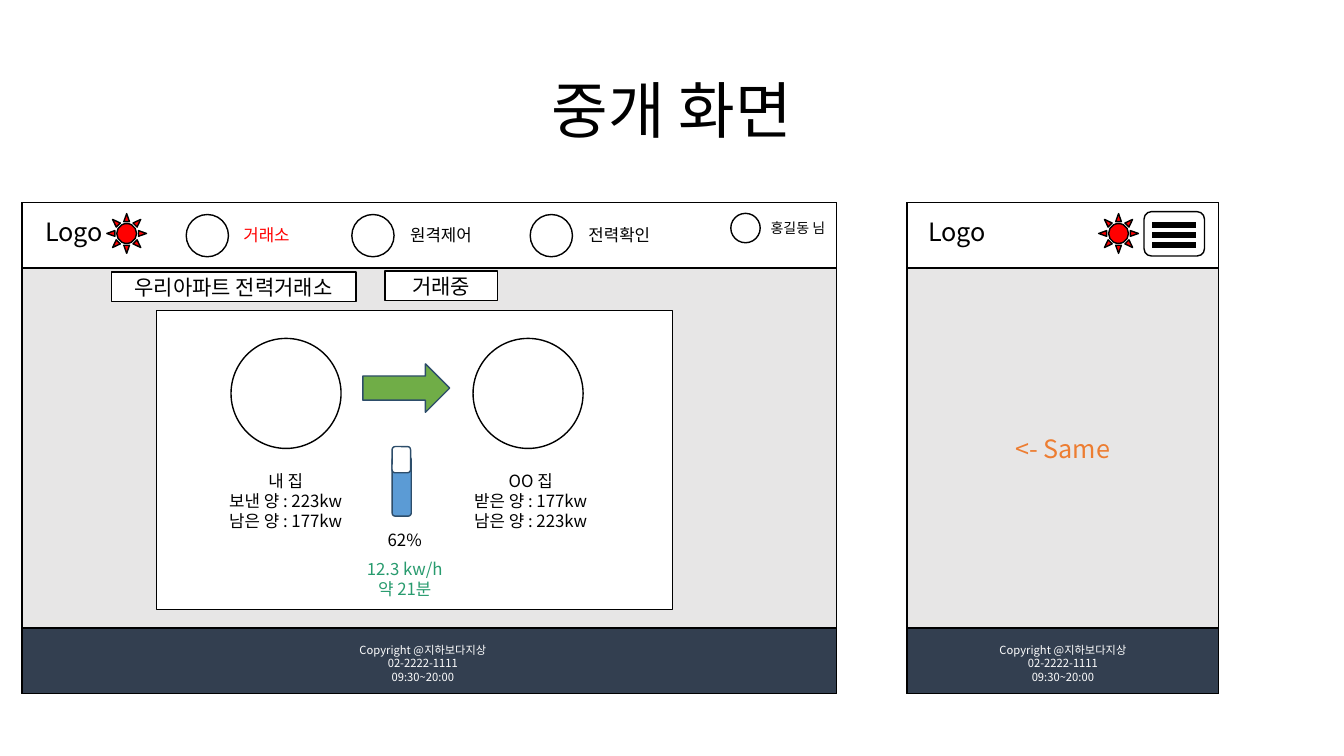
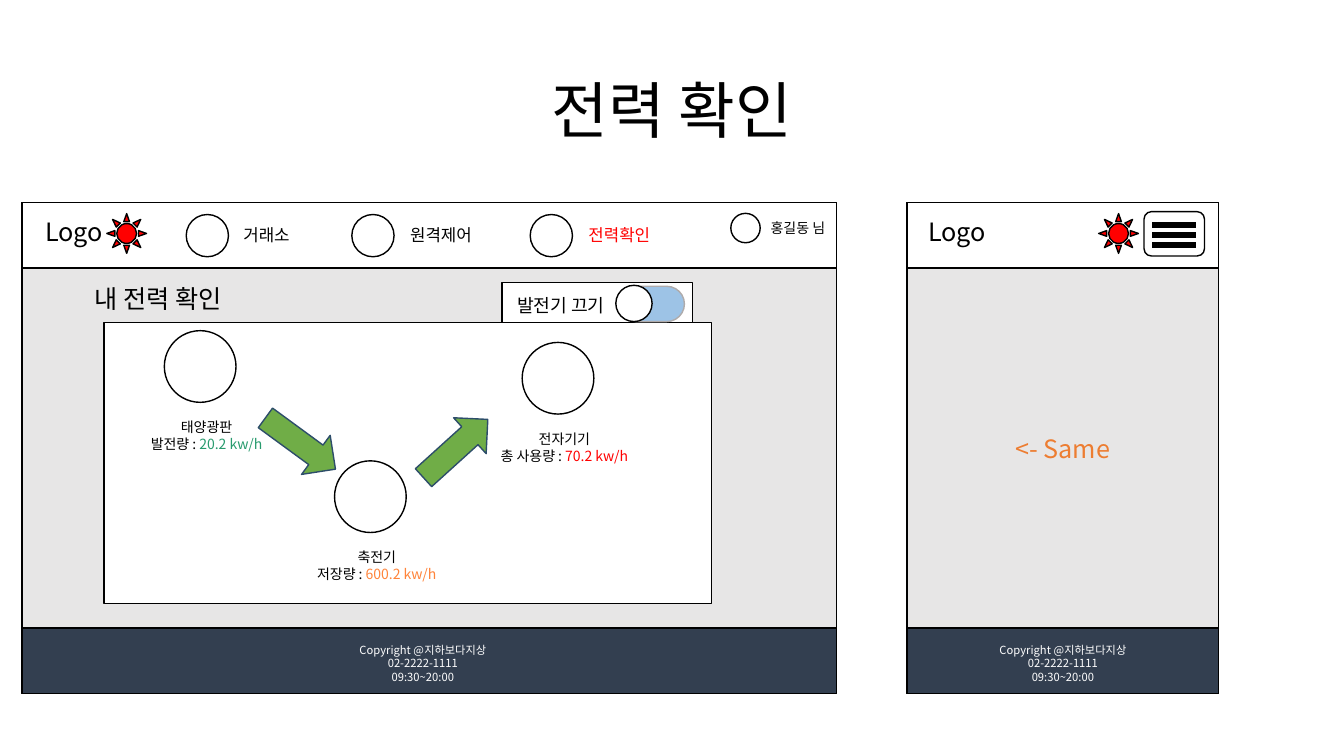
from lxml.etree import SubElement
from pptx import Presentation
from pptx.dml.color import RGBColor as RGB
from pptx.enum.shapes import MSO_CONNECTOR as CONN, MSO_SHAPE as SHAPE
from pptx.enum.text import MSO_ANCHOR as ANCHOR, PP_ALIGN as ALIGN
from pptx.oxml.ns import qn
from pptx.util import Pt

FONT = "Noto Sans CJK KR"
HEX = {
    "black": "000000", "white": "FFFFFF", "gray": "E7E6E6", "navy": "333F50",
    "red": "FF0000", "orange": "ED7D31", "amber": "FF843A", "teal": "289B6E",
    "green": "70AD47", "blue": "5B9BD5", "steel": "2D4D6A", "sky": "9DC3E6",
    "ash": "AFABAB",
}
TOP, BAR, FOOT, TALL = 144.7, 46.8, 448.6, 350.6
MENU = [("거래소", 133, 156.2), ("원격제어", 251.3, 280.8), ("전력확인", 378.7, 408.2)]
LEGAL = ["Copyright @지하보다지상", "02-2222-1111", "09:30~20:00"]


def write(shape, lines, size, color="black", align=ALIGN.CENTER):
    """Fill a shape with lines; a tuple is (text, value, value colour)."""
    frame = shape.text_frame
    frame.word_wrap = True
    for i, line in enumerate(lines):
        para = frame.paragraphs[0] if i == 0 else frame.add_paragraph()
        para.alignment = align
        font = para.font
        font.name, font.size = FONT, Pt(size)
        font.color.rgb = RGB.from_string(HEX[color])
        SubElement(font._element, qn("a:ea"), typeface=FONT)
        if isinstance(line, str):
            para.add_run().text = line
        else:
            text, value, tint = line
            para.add_run().text = text
            run = para.add_run()
            run.text = value
            run.font.color.rgb = RGB.from_string(HEX[tint])


def draw(page, kind, x, y, w, h, fill="white", edge="black"):
    """Add a preset shape, or a text box when kind is None."""
    box = [Pt(n) for n in (x, y, w, h)]
    if kind is None:
        return page.shapes.add_textbox(*box)
    shape = page.shapes.add_shape(kind, *box)
    shape.shadow.inherit = False
    shape.fill.solid()
    shape.fill.fore_color.rgb = RGB.from_string(HEX[fill])
    shape.line.color.rgb = RGB.from_string(HEX[edge])
    shape.line.width = Pt(1)
    shape.text_frame.vertical_anchor = ANCHOR.MIDDLE
    return shape


deck = Presentation()
deck.slide_width, deck.slide_height = Pt(960), Pt(540)

# Frame shared by both slides: title, desktop view, phone view
pages = []
for name, active in [("중개 화면", "거래소"), ("전력 확인", "전력확인")]:
    page = deck.slides.add_slide(deck.slide_layouts[5])
    pages.append(page)
    title = page.shapes.title
    title.left, title.top, title.width, title.height = Pt(66), Pt(28.8), Pt(828), Pt(104.4)
    title.text_frame.vertical_anchor = ANCHOR.MIDDLE
    write(title, [name], 44)
    title.text_frame.paragraphs[0].line_spacing = 0.9

    # Body, footer, header, logo and sun of each view
    for x, wide, logo, sun, legal in [(15.8, 581.8, 25.2, 76.3, 171.4),
                                      (648, 222.5, 656, 784.8, 628.6)]:
        body = draw(page, SHAPE.RECTANGLE, x, TOP, wide, TALL, "gray")
        if x == 648:
            write(body, ["<- Same"], 18, "orange")
        draw(page, SHAPE.RECTANGLE, x, FOOT, wide, BAR, "navy")
        draw(page, SHAPE.RECTANGLE, x, TOP, wide, BAR)
        write(draw(page, None, logo, 151.2, 58.3, 28.8), ["Logo"], 18, align=ALIGN.LEFT)
        draw(page, SHAPE.SUN, sun, 152.6, 28.4, 28.4, "red")
        write(draw(page, None, legal, 455.8, 261.4, 36), LEGAL, 8, "white")

    # Menu and user
    for text, icon, x in MENU:
        draw(page, SHAPE.OVAL, icon, 153.2, 30.2, 30.2)
        color = "red" if text == active else "black"
        write(draw(page, None, x, 157, 68.4, 21.6), [text], 12, color)
    draw(page, SHAPE.OVAL, 522, 152.4, 21, 21)
    write(draw(page, None, 535.7, 153.4, 68.4, 18.7), ["홍길동 님"], 10)

    # Menu button on the phone
    draw(page, SHAPE.ROUNDED_RECTANGLE, 817.2, 151.2, 43.2, 31.7)
    for i in range(3):
        y = Pt(160.6 + 7.2 * i)
        bar = page.shapes.add_connector(CONN.STRAIGHT, Pt(823), y, Pt(854.6), y)
        bar.line.color.rgb = RGB.from_string(HEX["black"])
        bar.line.width = Pt(4.5)
        SubElement(bar._element.spPr, qn("a:effectLst"))

trade, power = pages

# Trade: panel and tabs
draw(trade, SHAPE.RECTANGLE, 111.6, 221.8, 368.6, 213.8)
for text, x, y, wide in [("우리아파트 전력거래소", 79.6, 194.4, 174.6),
                         ("거래중", 275, 193.7, 80.6)]:
    write(draw(trade, SHAPE.RECTANGLE, x, y, wide, 20.9), [text], 15)

# Trade: the two homes and the flow between them
for disc, x, lines in [
    (165, 141.8, ["내 집", "보낸 양 : 223kw", "남은 양 : 177kw"]),
    (337.9, 316.8, ["OO 집", "받은 양 : 177kw", "남은 양 : 223kw"]),
]:
    draw(trade, SHAPE.OVAL, disc, 241.7, 78.6, 78.6)
    write(draw(trade, None, x, 332.6, 124.6, 50.4), lines, 12)
draw(trade, SHAPE.RIGHT_ARROW, 259.2, 259.9, 62, 34.6, "green", "steel")

# Trade: battery and rate
draw(trade, SHAPE.ROUNDED_RECTANGLE, 280.1, 326.2, 13.7, 42.5, "blue", "steel")
draw(trade, SHAPE.ROUNDED_RECTANGLE, 280.1, 319, 13.2, 18.7, "white", "steel")
write(draw(trade, None, 254.9, 375.1, 68.4, 20.9), ["62%"], 12)
write(draw(trade, None, 254.9, 395.3, 68.4, 35.3), ["12.3 kw/h", "약 21분"], 12, "teal")

# Power: panel and heading
draw(power, SHAPE.RECTANGLE, 74.2, 230.4, 434.2, 200.9)
write(draw(power, None, 60.5, 198.7, 150.5, 28), ["내 전력 확인"], 18, align=ALIGN.LEFT)

# Power: devices, each with its reading below
for x, y, name, label, value, tint in [
    (117.4, 236.2, "태양광판", "발전량 : ", "20.2 kw/h", "teal"),
    (239, 329.2, "축전기", "저장량 : ", "600.2 kw/h", "amber"),
    (373, 244.6, "전자기기", "총 사용량 : ", "70.2 kw/h", "red"),
]:
    draw(power, SHAPE.OVAL, x, y, 51.2, 51.2)
    write(draw(power, None, x - 26, y + 59.3, 112.3, 30.2), [name, (label, value, tint)], 10)
for x, y, turn in [(183.6, 299.5, 36.2), (294.5, 303.1, 317.8)]:
    arrow = draw(power, SHAPE.RIGHT_ARROW, x, y, 62, 34.6, "green", "steel")
    arrow.rotation = turn

# Power: generator switch
draw(power, SHAPE.RECTANGLE, 358.6, 201.6, 136.1, 28.8)
write(draw(power, None, 362.2, 206.6, 97.2, 22.3), ["발전기 끄기"], 13, align=ALIGN.LEFT)
track = draw(power, SHAPE.ROUNDED_RECTANGLE, 441.4, 204.5, 47.5, 25.2, "sky", "ash")
track.adjustments[0] = 0.5
draw(power, SHAPE.OVAL, 439.9, 203.8, 25.9, 25.9)

deck.save("out.pptx")
